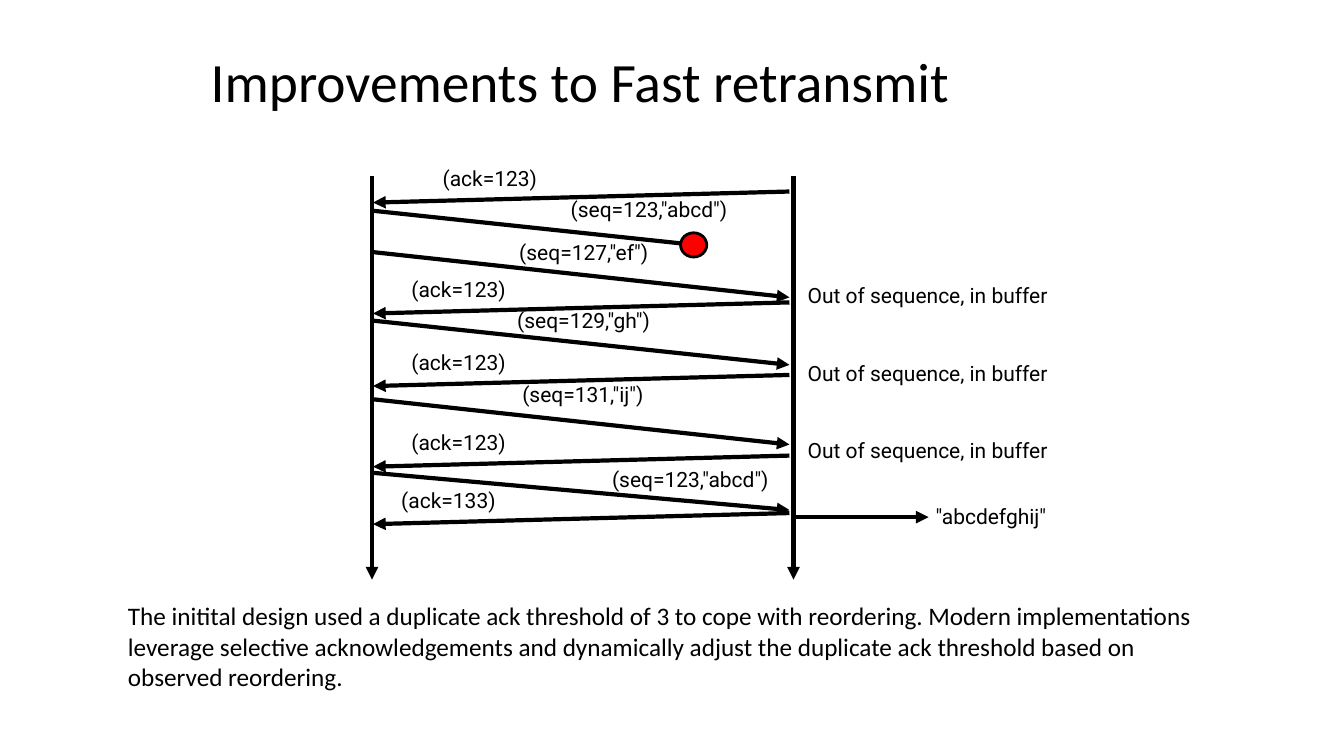
import pptx
import pptx.util
import pptx.dml.color
import pptx.enum.shapes
import pptx.enum.text
import pptx.oxml
import pptx.oxml.ns

BLACK = pptx.dml.color.RGBColor(0, 0, 0)
RED = pptx.dml.color.RGBColor(255, 0, 0)
COLS, ROWS = 133.3, 75
LABEL_H = 2.2
ACK_W = 9.4
NOTE_W = 24.2
ACK_DROP = 1.1
GAP = 0.4

ACKS = [
    ("(ack=123)", 1.5, 7.0),
    ("(ack=123)", 12.5, 3.9),
    ("(ack=123)", 19.7, 3.9),
    ("(ack=123)", 27.7, 3.9),
    ("(ack=133)", 33.4, 2.9),
]
SEGMENTS = [
    ('(seq=127,"ef")', 7.5, 4.5, 14.6, 6.6, 13.4),
    ('(seq=129,"gh")', 14.3, 4.4, 14.4, 13.4, 14.0),
    ('(seq=131,"ij")', 22.1, 4.5, 14.9, 20.7, 12.5),
    ('(seq=123,"abcd")', 29.4, 3.7, 23.8, 29.1, 16.2),
]
BUFFERED = [10.9, 18.6, 26.3]
SUMMARY = (
    "The initital design used a duplicate ack threshold of 3 to cope with reordering. Modern implementations\v"
    "leverage selective acknowledgements and dynamically adjust the duplicate ack threshold based on\v"
    "observed reordering."
)


def cells(n):
    """Convert grid cells of a tenth of an inch to a length."""
    return pptx.util.Inches(n / 10)


def write(tf, text, size=15, font="Roboto", spacing=0.84, inset=0,
          anchor=pptx.enum.text.MSO_ANCHOR.MIDDLE, wrap=False):
    """Fill a text frame with one formatted paragraph."""
    tf.word_wrap = wrap
    tf.auto_size = pptx.enum.text.MSO_AUTO_SIZE.NONE
    tf.vertical_anchor = anchor
    tf.margin_left = tf.margin_right = cells(inset)
    tf.margin_top = tf.margin_bottom = cells(inset / 2)
    p = tf.paragraphs[0]
    p.text = text
    p.alignment = pptx.enum.text.PP_ALIGN.LEFT
    p.line_spacing = spacing
    for r in p.runs:
        r.font.size = pptx.util.Pt(size)
        r.font.name = font
        r.font.color.rgb = BLACK


def add_text(s, x, y, w, h, text, **fmt):
    """Add a text box at a grid position."""
    sp = s.shapes.add_textbox(cells(x), cells(y), cells(w), cells(h))
    write(sp.text_frame, text, **fmt)


def add_arrow(s, x1, y1, x2, y2):
    """Add a black arrow between two grid points."""
    line = s.shapes.add_connector(pptx.enum.shapes.MSO_CONNECTOR.STRAIGHT,
                                  cells(x1), cells(y1), cells(x2), cells(y2))
    line.line.color.rgb = BLACK
    line.line.width = pptx.util.Pt(3)
    ln = line.line._get_or_add_ln()
    ln.append(pptx.oxml.parse_xml(
        '<a:tailEnd %s type="triangle"/>' % pptx.oxml.ns.nsdecls("a")))
    line._element.spPr.append(pptx.oxml.parse_xml(
        "<a:effectLst %s/>" % pptx.oxml.ns.nsdecls("a")))


def add_title(s, x, y, w, h):
    """Place the slide title in its box."""
    sp = s.shapes.title
    sp.left, sp.top, sp.width, sp.height = map(cells, (x, y, w, h))
    write(sp.text_frame, "Improvements to Fast retransmit", size=39.6,
          font="Calibri", inset=1, wrap=True)


def add_lost_segment(s, x, y):
    """Draw the segment that is lost on its way."""
    add_arrow(s, x, y, x + 32.1, y + 3.4)
    add_text(s, x + 19.7, y - 1.1, 16.2, LABEL_H, '(seq=123,"abcd")')
    sp = s.shapes.add_shape(pptx.enum.shapes.MSO_SHAPE.OVAL,
                            cells(x + 30.6), cells(y + 2.2), cells(2.6), cells(2.4))
    sp.shadow.inherit = False
    sp.fill.solid()
    sp.fill.fore_color.rgb = RED
    sp.line.color.rgb = BLACK
    sp.line.width = pptx.util.Pt(2)


def add_exchange(s, x, y, w, h):
    """Draw the sender and receiver timelines with their messages."""
    right = x + w
    for timeline in (x, right):
        add_arrow(s, timeline, y, timeline, y + h)
    add_lost_segment(s, x, y + 3.4)
    for text, start, indent in ACKS:
        add_arrow(s, right - GAP, y + start, x + 0.1, y + start + ACK_DROP)
        add_text(s, x + indent, y + start - LABEL_H, ACK_W, LABEL_H, text)
    for text, start, drop, indent, top, width in SEGMENTS:
        add_arrow(s, x, y + start, right - GAP, y + start + drop)
        add_text(s, x + indent, y + top, width, LABEL_H, text)
    for top in BUFFERED:
        add_text(s, right + 1.4, y + top, NOTE_W, LABEL_H, "Out of sequence, in buffer")
    add_arrow(s, right, y + 33.8, right + 13.4, y + 33.8)
    add_text(s, right + 14.1, y + 32.8, 11.1, LABEL_H, '"abcdefghij"')


def add_summary(s, x, y, w, h):
    """Write the remark below the diagram."""
    add_text(s, x, y, w, h, SUMMARY, size=18, font="Calibri", spacing=1.0, inset=1,
             anchor=pptx.enum.text.MSO_ANCHOR.TOP)


def main():
    """Build and save the slide."""
    prs = pptx.Presentation()
    prs.slide_width, prs.slide_height = cells(COLS), cells(ROWS)
    s = prs.slides.add_slide(prs.slide_layouts[5])
    add_title(s, 19.9, 1.9, 78.3, 13.2)
    add_exchange(s, 36.9, 17.5, 41.8, 40)
    add_summary(s, 11.7, 59.1, 108.8, 10.1)
    prs.save("out.pptx")


if __name__ == "__main__":
    main()
